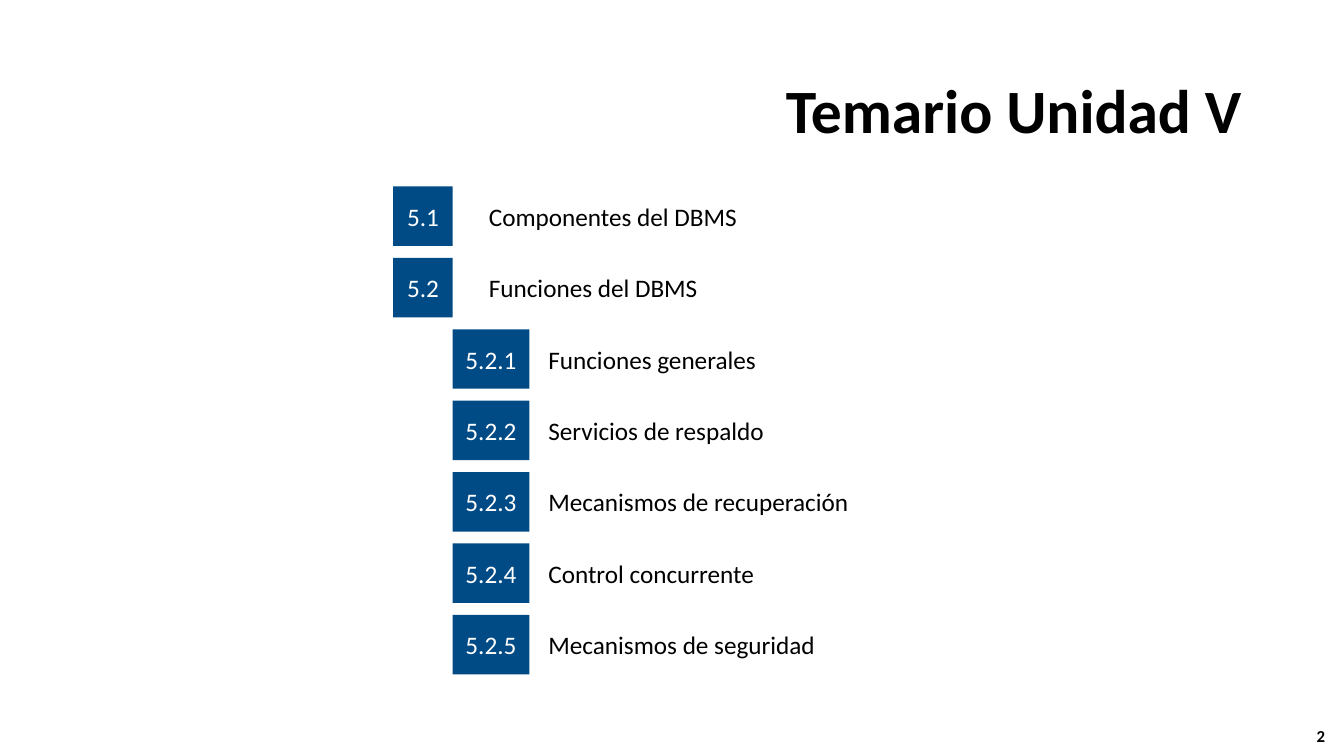
from dataclasses import dataclass

from pptx import Presentation
from pptx import util as u
from pptx.dml.color import RGBColor
from pptx.enum import shapes, text


@dataclass(frozen=True)
class Theme:
    """Colours, font and type sizes of the slide."""
    tile: RGBColor = RGBColor(0x00, 0x4B, 0x85)
    ink: RGBColor = RGBColor(0, 0, 0)
    paper: RGBColor = RGBColor(255, 255, 255)
    font: str = "Calibri"
    title: int = 44
    body: int = 18
    number: int = 12


THEME = Theme()
TILE_H = 0.59
LEVEL_INDENT = 0.59
TILE_W = {0: 0.59, 1: 0.76}
LABEL_OFFSET = 0.85
LABEL_W = 6.95
TOPICS = [
    (0, "5.1", "Componentes del DBMS"),
    (0, "5.2", "Funciones del DBMS"),
    (1, "5.2.1", "Funciones generales"),
    (1, "5.2.2", "Servicios de respaldo"),
    (1, "5.2.3", "Mecanismos de recuperación"),
    (1, "5.2.4", "Control concurrente"),
    (1, "5.2.5", "Mecanismos de seguridad"),
]


def write(sp, words, size, color, align, bold=False):
    """Set one vertically centred paragraph in a shape."""
    tf = sp.text_frame
    tf.word_wrap = True
    tf.vertical_anchor = text.MSO_ANCHOR.MIDDLE
    p = tf.paragraphs[0]
    p.alignment = align
    r = p.add_run()
    r.text = words
    r.font.name = THEME.font
    r.font.size = u.Pt(size)
    r.font.bold = bold
    r.font.color.rgb = color
    return p


def add_label(parent, box, words, size, align, bold=False):
    """Add a text box in the ink colour."""
    sp = parent.add_textbox(*map(u.Inches, box))
    return write(sp, words, size, THEME.ink, align, bold)


def add_title(s, box, words):
    """Place the right-aligned slide title."""
    p = add_label(s.shapes, box, words, THEME.title, text.PP_ALIGN.RIGHT, True)
    p.line_spacing = 0.9


def add_page_number(s, box, number):
    """Place the slide number."""
    add_label(s.shapes, box, number, THEME.number, text.PP_ALIGN.CENTER, True)


def add_topic(s, x, y, level, number, name):
    """Group a numbered tile with its topic name."""
    left = x + level * LEVEL_INDENT
    parts = s.shapes.add_group_shape().shapes
    tile = parts.add_shape(shapes.MSO_SHAPE.RECTANGLE, u.Inches(left), u.Inches(y),
                           u.Inches(TILE_W[level]), u.Inches(TILE_H))
    tile.shadow.inherit = False
    tile.fill.solid()
    tile.fill.fore_color.rgb = THEME.tile
    tile.line.fill.background()
    tile.text_frame.margin_left = tile.text_frame.margin_right = 0
    write(tile, number, THEME.body, THEME.paper, text.PP_ALIGN.CENTER)
    add_label(parts, (left + LABEL_OFFSET, y, LABEL_W, TILE_H), name,
              THEME.body, text.PP_ALIGN.LEFT)


def add_topics(s, box, topics):
    """Spread the topics evenly down the box."""
    x, y, _, height = box
    pitch = (height - TILE_H) / (len(topics) - 1)
    for i, topic in enumerate(topics):
        add_topic(s, x, y + i * pitch, *topic)


def main():
    """Build and save the syllabus slide."""
    prs = Presentation()
    prs.slide_width, prs.slide_height = u.Inches(13.33), u.Inches(7.5)
    s = prs.slides.add_slide(prs.slide_layouts[6])
    s.background.fill.solid()
    s.background.fill.fore_color.rgb = THEME.paper
    add_title(s, (0.92, 0.4, 11.5, 1.45), "Temario Unidad V")
    add_page_number(s, (12.87, 7.1, 0.46, 0.4), "2")
    add_topics(s, (3.9, 1.85, 8.39, 4.84), TOPICS)
    prs.save("out.pptx")


if __name__ == "__main__":
    main()
